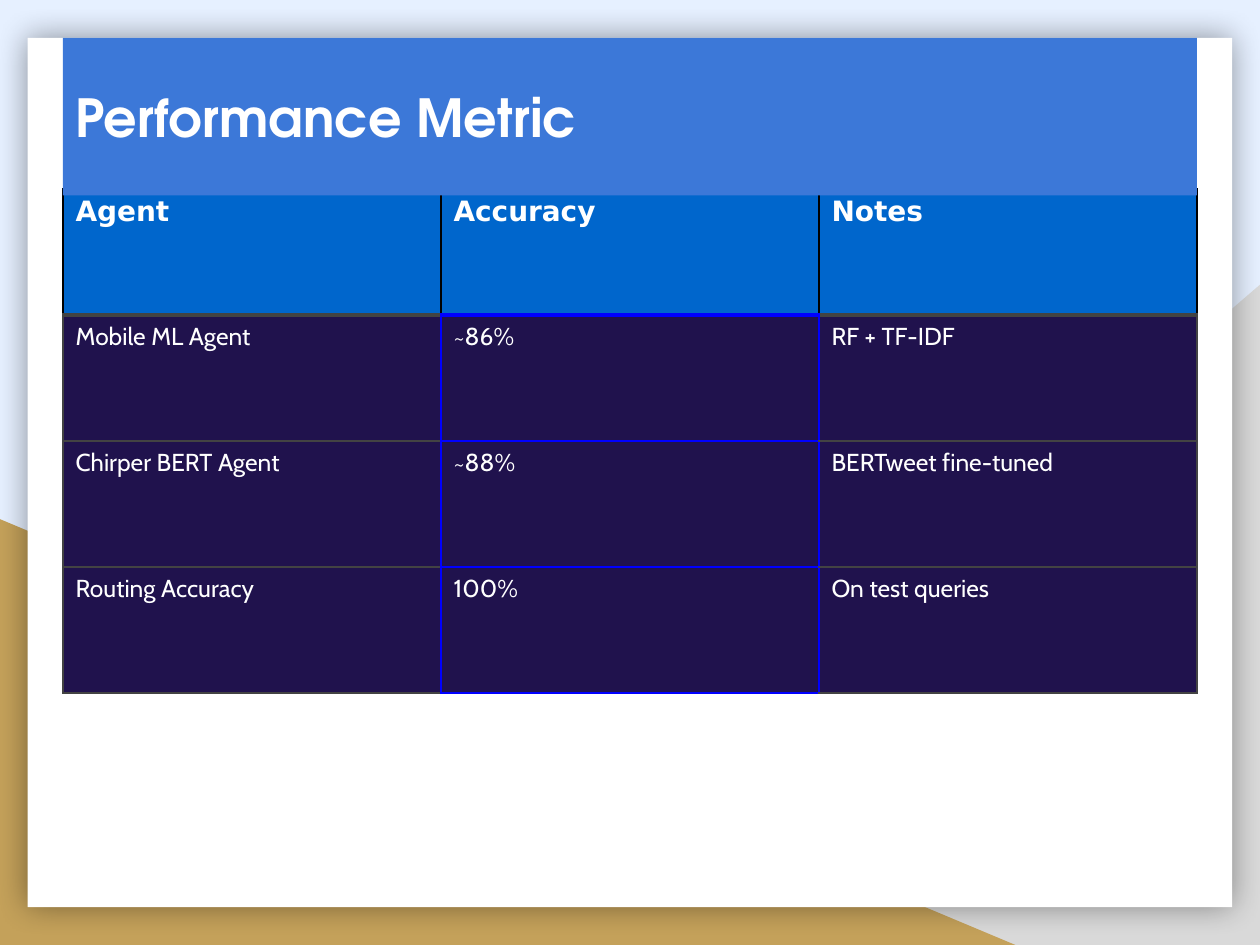
from lxml import etree
from pptx import Presentation
from pptx import util as u
from pptx.dml.color import RGBColor
from pptx.enum import shapes, text
from pptx.oxml import parse_xml
from pptx.oxml.ns import nsdecls, qn

COLORS = {
    "sky": "E6F0FF", "grey": "D9D9D9", "gold": "C4A15A", "white": "FFFFFF",
    "banner": "3C78D8", "header": "0066CC", "body": "20124D",
    "black": "000000", "edge": "434343", "accent": "0000FF",
}
FONTS = {"title": "TeX Gyre Adventor", "header": "DejaVu Sans", "body": "Cabin"}
ROWS = [
    ("Agent", "Accuracy", "Notes"),
    ("Mobile ML Agent", "~86%", "RF + TF-IDF"),
    ("Chirper BERT Agent", "~88%", "BERTweet fine-tuned"),
    ("Routing Accuracy", "100%", "On test queries"),
]


class MetricPage:
    def __init__(self, deck):
        self.page = deck.slides.add_slide(deck.slide_layouts[6])
        self.paint(self.page.background.fill, "sky")

    def paint(self, fill, color):
        fill.solid()
        fill.fore_color.rgb = RGBColor.from_string(COLORS[color])

    def shape(self, kind, area, color, flipped=False):
        shape = self.page.shapes.add_shape(kind, *map(u.Inches, area))
        shape.shadow.inherit = False
        self.paint(shape.fill, color)
        shape.line.fill.background()
        if flipped:
            shape._element.spPr.find(qn("a:xfrm")).set("flipH", "1")
        return shape

    def card(self, area):
        card = self.shape(shapes.MSO_SHAPE.RECTANGLE, area, "white")
        effects = card._element.spPr.find(qn("a:effectLst"))
        effects.append(parse_xml(
            f'<a:outerShdw {nsdecls("a")} blurRad="{u.Pt(18)}" dist="0" algn="ctr" rotWithShape="0">'
            f'<a:srgbClr val="{COLORS["black"]}"><a:alpha val="40000"/></a:srgbClr></a:outerShdw>'))

    def add_words(self, frame, words, font, size, bold):
        para = frame.paragraphs[0]
        para.alignment = text.PP_ALIGN.LEFT
        span = para.add_run()
        span.text = words
        span.font.name = FONTS[font]
        span.font.size = u.Pt(size)
        span.font.bold = bold
        span.font.color.rgb = RGBColor.from_string(COLORS["white"])

    def title(self, area, words):
        box = self.shape(shapes.MSO_SHAPE.RECTANGLE, area, "banner")
        box.text_frame.word_wrap = True
        box.text_frame.vertical_anchor = text.MSO_ANCHOR.MIDDLE
        self.add_words(box.text_frame, words, "title", 30, True)

    def border(self, cell, side, color, width):
        line = etree.SubElement(cell._tc.get_or_add_tcPr(), qn(f"a:ln{side}"), w=str(u.Pt(width)))
        fill = etree.SubElement(line, qn("a:solidFill"))
        etree.SubElement(fill, qn("a:srgbClr"), val=COLORS[color])

    def cell_borders(self, cell, row, column):
        column_color = "accent" if column == 1 else "edge"
        left = "accent" if column else "edge"
        right = "accent" if column < 2 else "edge"
        if row == 0:
            sides = {"L": ("black", 1), "R": ("black", 1), "T": ("black", 1), "B": (column_color, 3)}
        else:
            sides = {"L": (left, 1), "R": (right, 1),
                     "T": (column_color, 3 if row == 1 else 1), "B": (column_color, 1)}
        for side, (color, width) in sides.items():
            self.border(cell, side, color, width)

    def table(self, left, top, column_width, row_height, rows):
        count = len(rows[0])
        size = (column_width * count, row_height * len(rows))
        table = self.page.shapes.add_table(
            len(rows), count, *map(u.Inches, (left, top, *size))).table
        for row, values in enumerate(rows):
            style = "body" if row else "header"
            for column, words in enumerate(values):
                cell = table.cell(row, column)
                self.cell_borders(cell, row, column)
                self.paint(cell.fill, style)
                self.add_words(cell.text_frame, words, style, 14 if row else 16, row == 0)


def main():
    deck = Presentation()
    deck.slide_width, deck.slide_height = u.Inches(10), u.Inches(7.5)
    page = MetricPage(deck)
    triangle = shapes.MSO_SHAPE.RIGHT_TRIANGLE
    page.shape(triangle, (3.92, 2.26, 6.08, 5.24), "grey", flipped=True)
    page.shape(triangle, (0, 4.12, 8.06, 3.38), "gold")
    page.card((0.22, 0.3, 9.56, 6.9))
    page.table(0.5, 1.5, 3, 1, ROWS)
    page.title((0.5, 0.3, 9, 1.25), "Performance Metric")
    deck.save("out.pptx")


if __name__ == "__main__":
    main()
